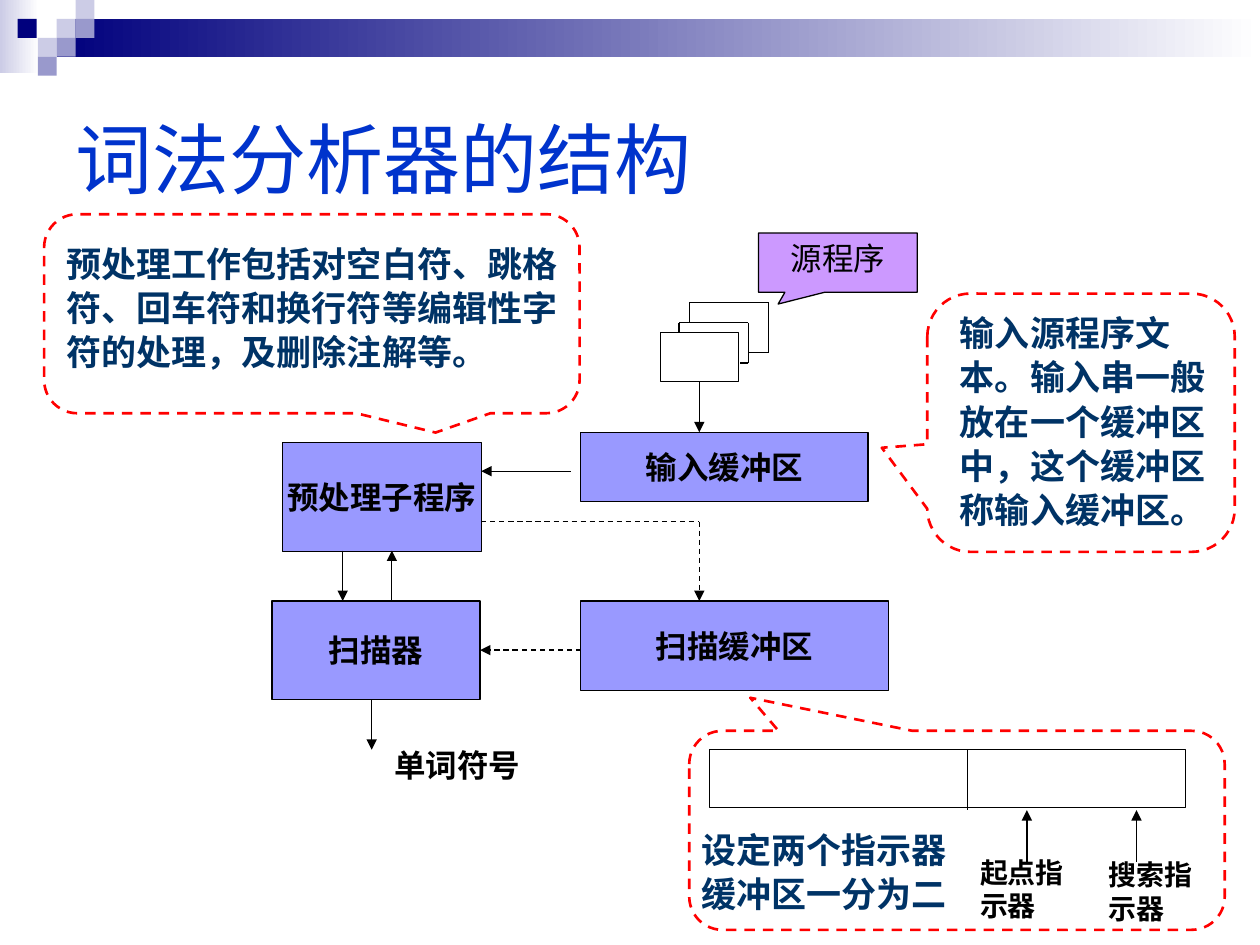
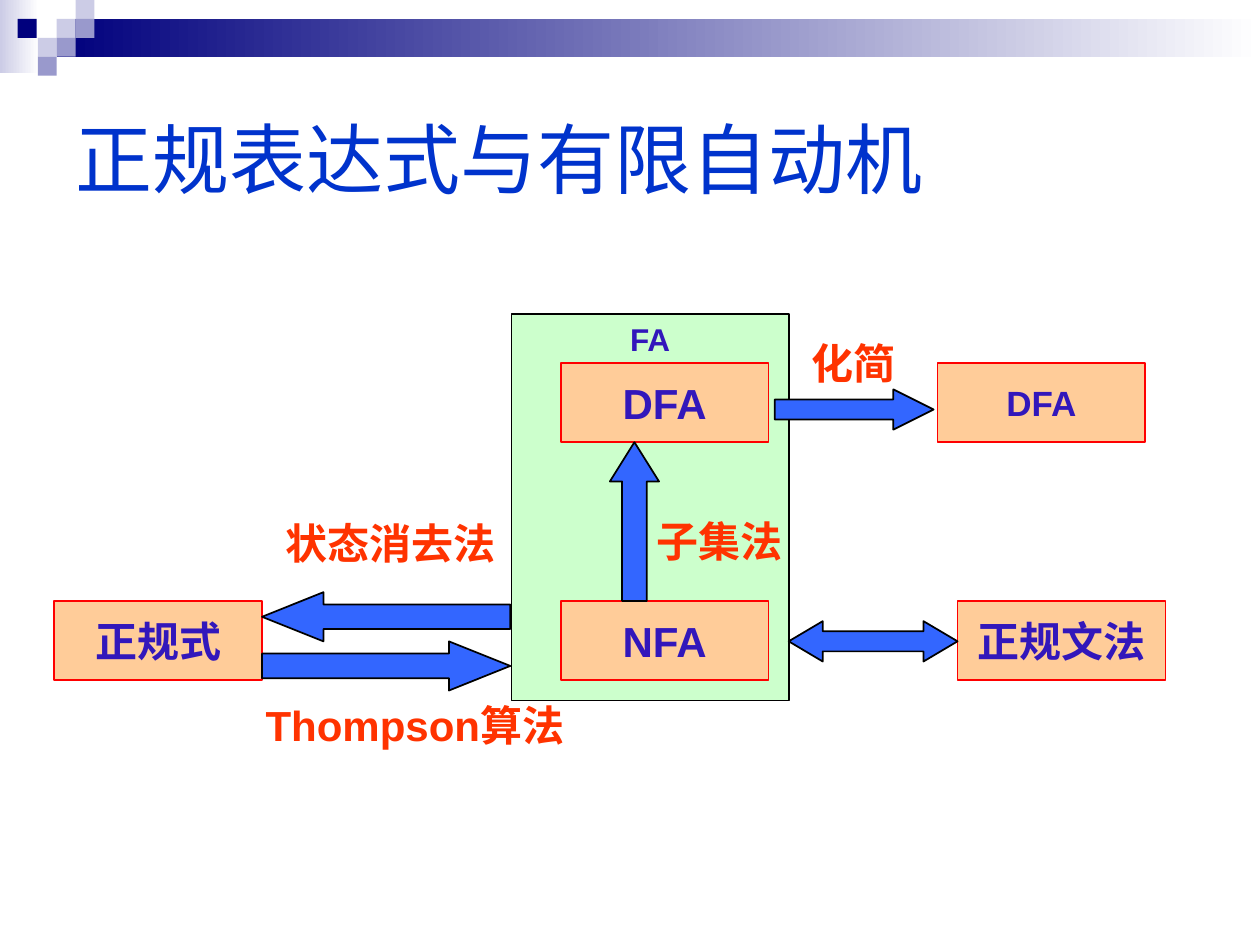
from lxml import etree
from pptx import Presentation
from pptx.dml.color import RGBColor
from pptx.enum.dml import MSO_LINE
from pptx.enum.shapes import MSO_CONNECTOR, MSO_SHAPE
from pptx.enum.text import MSO_ANCHOR, PP_ALIGN
from pptx.oxml.ns import qn
from pptx.util import Pt

PX = 9144
BLACK = RGBColor(0x00, 0x00, 0x00)
WHITE = RGBColor(0xFF, 0xFF, 0xFF)
RED = RGBColor(0xFF, 0x00, 0x00)
NAVY = RGBColor(0x00, 0x00, 0x7D)
PALE = RGBColor(0xCC, 0xCC, 0xE6)
MID = RGBColor(0x99, 0x99, 0xCC)
TITLE = RGBColor(0x00, 0x33, 0xCC)
NOTE = RGBColor(0x00, 0x33, 0x66)
PERIWINKLE = RGBColor(0x99, 0x99, 0xFF)
LILAC = RGBColor(0xCC, 0x99, 0xFF)
MINT = RGBColor(0xCC, 0xFF, 0xCC)
PEACH = RGBColor(0xFF, 0xCC, 0x99)
BLUE = RGBColor(0x33, 0x66, 0xFF)
INDIGO = RGBColor(0x32, 0x17, 0xBB)
ORANGE = RGBColor(0xFF, 0x33, 0x00)
COMIC, ARIAL, NOTO = "Comic Neue", "Arial", "Noto Sans CJK SC"
LEFT, CENTER = PP_ALIGN.LEFT, PP_ALIGN.CENTER
TOP, MIDDLE = MSO_ANCHOR.TOP, MSO_ANCHOR.MIDDLE


def add_box(s, kind, at, fill=None, line=None, width=0.75, dash=None, adj=(), text="",
            size=18, font=COMIC, color=BLACK, bold=True, align=CENTER, anchor=MIDDLE,
            wrap=False, spacing=None):
    frame = [v * PX for v in at]
    if kind is None:
        sp = s.shapes.add_textbox(*frame)
    else:
        sp = s.shapes.add_shape(kind, *frame)
        sp.shadow.inherit = False
        if fill is None:
            sp.fill.background()
        else:
            sp.fill.solid()
            sp.fill.fore_color.rgb = fill
        if line is None:
            sp.line.fill.background()
        else:
            sp.line.color.rgb = line
            sp.line.width = Pt(width)
            sp.line.dash_style = dash
        for i, value in enumerate(adj):
            sp.adjustments[i] = value
    if text:
        tf = sp.text_frame
        tf.word_wrap = wrap
        tf.vertical_anchor = anchor
        for i, words in enumerate(text.split("\n")):
            p = tf.add_paragraph() if i else tf.paragraphs[0]
            p.alignment = align
            p.line_spacing = spacing
            p._p.get_or_add_pPr().set("hangingPunct", "0")
            r = p.add_run()
            r.text = words
            r.font.size = Pt(size)
            r.font.bold = bold
            r.font.color.rgb = color
            r.font.name = font
            etree.SubElement(r._r.get_or_add_rPr(), qn("a:ea"), typeface=ARIAL)
    return sp


def add_line(s, x1, y1, x2, y2, arrow=False, dash=None):
    c = s.shapes.add_connector(MSO_CONNECTOR.STRAIGHT, x1 * PX, y1 * PX, x2 * PX, y2 * PX)
    c.line.color.rgb = BLACK
    c.line.width = Pt(0.75)
    c.line.dash_style = dash
    if arrow:
        etree.SubElement(c.line._get_or_add_ln(), qn("a:tailEnd"), type="triangle")
    etree.SubElement(c.element.spPr, qn("a:effectLst"))
    return c


prs = Presentation()
prs.slide_width, prs.slide_height = 1000 * PX, 750 * PX
layout = prs.slide_layouts[5]
slides = []
for heading in ("词法分析器的结构", "正规表达式与有限自动机"):
    s = prs.slides.add_slide(layout)
    t = s.shapes.title
    t.left, t.top, t.width, t.height = 50 * PX, 50 * PX, 900 * PX, 150 * PX
    tf = t.text_frame
    tf.vertical_anchor = MIDDLE
    p = tf.paragraphs[0]
    p.alignment = LEFT
    r = p.add_run()
    r.text = heading
    r.font.size = Pt(44)
    r.font.color.rgb = TITLE
    r.font.name = ARIAL
    etree.SubElement(r._r.get_or_add_rPr(), qn("a:ea"), typeface=ARIAL)
    slides.append(s)
lexer, automata = slides

decor = []
for at, start in (((0, 0, 31, 58), PALE), ((45, 15, 955, 30), NAVY)):
    sp = add_box(lexer, MSO_SHAPE.RECTANGLE, at)
    sp.fill.gradient()
    sp.fill.gradient_angle = 0
    for stop, color in zip(sp.fill.gradient_stops, (start, WHITE)):
        stop.color.rgb = color
    decor.append(sp)
for x, y, color in ((45, 15, PALE), (60, 0, PALE), (60, 15, MID), (30, 30, PALE),
                    (14, 15, NAVY), (45, 30, MID), (30, 45, MID)):
    decor.append(add_box(lexer, MSO_SHAPE.RECTANGLE, (x, y, 15, 15), color))
for i, sp in enumerate(decor):
    layout.element.cSld.spTree.insert(2 + i, sp.element)

note = dict(size=20, font=NOTO, color=NOTE, align=LEFT, anchor=TOP, wrap=True, spacing=1.05)
add_box(lexer, None, (43, 186, 417, 173),
        text="预处理工作包括对空白符、跳格符、回车符和换行符等编辑性字符的处理，及删除注解等。", **note)

stages = {}
for name, at in (("预处理子程序", (224, 351, 158, 87)), ("输入缓冲区", (461, 343, 228, 55)),
                 ("扫描器", (216, 477, 165, 78)), ("扫描缓冲区", (461, 477, 244, 71))):
    stages[name] = add_box(lexer, MSO_SHAPE.RECTANGLE, at, PERIWINKLE, BLACK, text=name)

page = add_box(lexer, MSO_SHAPE.RECTANGLE, (524, 264, 62, 39), WHITE, BLACK)
for outline in (((539, 264), (539, 256), (594, 256), (594, 288), (587, 288)),
                ((547, 256), (547, 240), (610, 240), (610, 280), (594, 280))):
    for a, b in zip(outline, outline[1:]):
        add_line(lexer, *a, *b)
add_box(lexer, MSO_SHAPE.RECTANGULAR_CALLOUT, (602, 185, 126, 47), LILAC, BLACK,
        adj=(-0.376, 0.699), text="源程序", bold=False, anchor=TOP, wrap=True)

add_line(lexer, 555, 303, 555, 343, True).begin_connect(page, 2)
for ends in ((453, 374, 382, 374), (295, 555, 295, 595),
             (272, 437, 272, 477), (311, 477, 311, 437)):
    add_line(lexer, *ends, True)
add_line(lexer, 382, 414, 555, 414, dash=MSO_LINE.DASH)
add_line(lexer, 555, 414, 555, 477, True, MSO_LINE.DASH)
add_line(lexer, 461, 516, 381, 516, True, MSO_LINE.DASH).end_connect(stages["扫描器"], 3)
add_box(lexer, None, (303, 587, 150, 40), text="单词符号", align=LEFT, anchor=TOP, wrap=True)

add_box(lexer, MSO_SHAPE.RECTANGLE, (563, 595, 378, 46), WHITE, BLACK)
add_line(lexer, 768, 595, 768, 643)
for arrow_x, x, y, name in ((815, 768, 674, "起点指示器"), (902, 870, 676, "搜索指示器")):
    add_line(lexer, arrow_x, 684, arrow_x, 643, True)
    add_box(lexer, None, (x, y, 102, 64), text=name, size=16, align=LEFT, anchor=TOP, wrap=True)
add_box(lexer, None, (547, 651, 236, 87), text="设定两个指示器\n缓冲区一分为二", **note)
add_box(lexer, None, (752, 241, 228, 197),
        text="输入源程序文本。输入串一般放在一个缓冲区中，这个缓冲区称输入缓冲区。", **note)
for at, adj in (((547, 580, 425, 158), (-0.386, -0.666, 0.167)),
                ((35, 170, 425, 158), (0.231, 0.597, 0.167)),
                ((736, 233, 244, 205), (-0.648, 0.097, 0.167))):
    add_box(lexer, MSO_SHAPE.ROUNDED_RECTANGULAR_CALLOUT, at, None, RED, 1.5, MSO_LINE.DASH, adj)

add_box(automata, MSO_SHAPE.RECTANGLE, (406, 249, 220, 307), MINT, BLACK, 1,
        text="FA", font=ARIAL, color=INDIGO, anchor=TOP)
for x, y, name, size in ((43, 477, "正规式", 24), (445, 288, "DFA", 24), (445, 477, "NFA", 24),
                         (760, 477, "正规文法", 24), (744, 288, "DFA", 20)):
    add_box(automata, MSO_SHAPE.RECTANGLE, (x, y, 165, 63), PEACH, RED, 1,
            text=name, size=size, font=ARIAL, color=INDIGO)
for kind, at, adj, turn in (
        (MSO_SHAPE.LEFT_RIGHT_ARROW, (626, 493, 134, 32), (0.5, 0.844), 0),
        (MSO_SHAPE.RIGHT_ARROW, (615, 309, 126, 32), (0.5, 0.998), 0),
        (MSO_SHAPE.UP_ARROW, (484, 351, 39, 126), (0.5, 0.8), 0),
        (MSO_SHAPE.UP_ARROW, (287, 391, 39, 197), (0.5, 1.249), 270),
        (MSO_SHAPE.UP_ARROW, (287, 430, 39, 197), (0.5, 1.249), 90)):
    add_box(automata, kind, at, BLUE, BLACK, 1, adj=adj).rotation = turn
for x, y, w, name, align in ((500, 404, 142, "子集法", CENTER),
                             (217, 406, 192, "状态消去法", LEFT),
                             (634, 263, 92, "化简", LEFT),
                             (201, 550, 273, "Thompson算法", LEFT)):
    add_box(automata, None, (x, y, w, 50), text=name, size=24, font=ARIAL, color=ORANGE,
            align=align, anchor=TOP, wrap=True)

prs.save("out.pptx")
